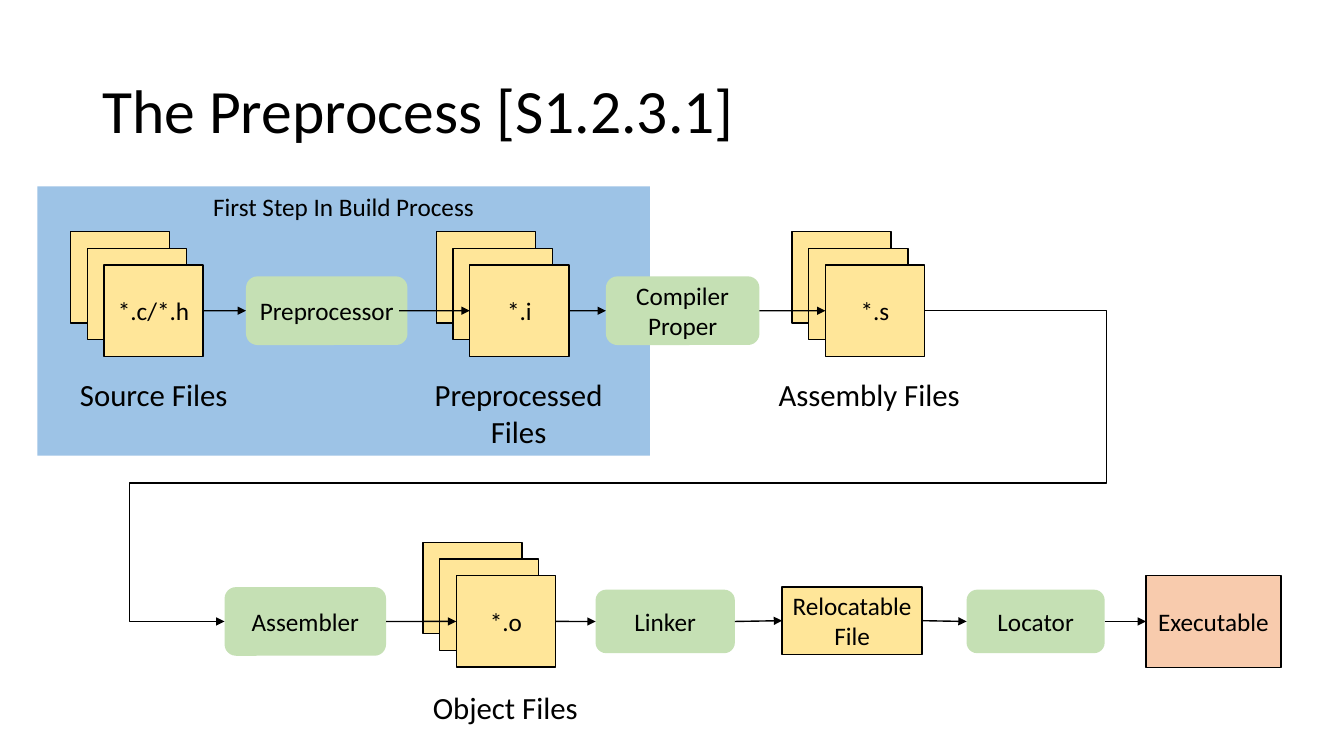
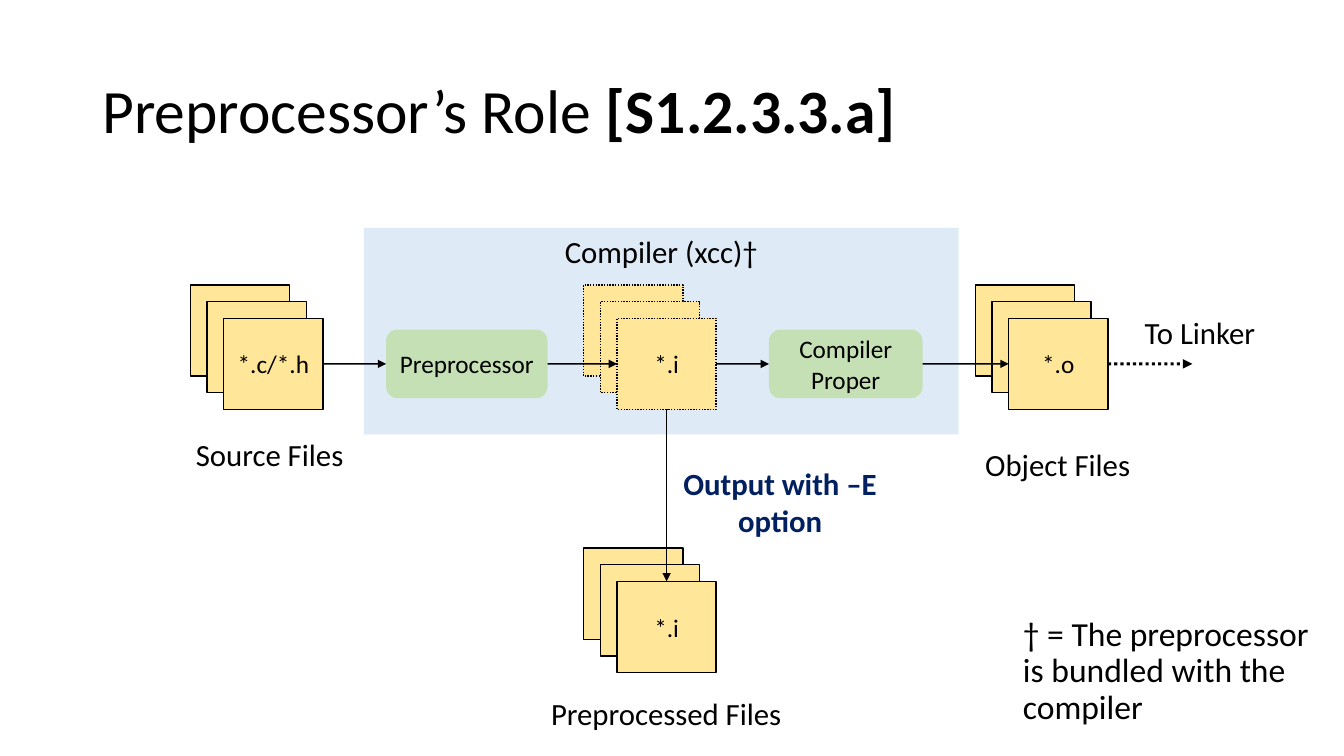
"""Build two slides on how source files are preprocessed and built."""
from dataclasses import dataclass

from lxml import etree
from pptx import Presentation
from pptx.dml.color import RGBColor
from pptx.enum.dml import MSO_LINE
from pptx.enum.shapes import MSO_CONNECTOR, MSO_SHAPE
from pptx.enum.text import MSO_ANCHOR, PP_ALIGN
from pptx.oxml.ns import qn
from pptx.util import Cm, Pt

RECT, ROUND = MSO_SHAPE.RECTANGLE, MSO_SHAPE.ROUNDED_RECTANGLE
LINE, ELBOW = MSO_CONNECTOR.STRAIGHT, MSO_CONNECTOR.ELBOW
TOP, MIDDLE = MSO_ANCHOR.TOP, MSO_ANCHOR.MIDDLE
LEFT, CENTER = PP_ALIGN.LEFT, PP_ALIGN.CENTER
DOT = MSO_LINE.ROUND_DOT
NORTH, WEST, SOUTH, EAST = range(4)


@dataclass(frozen=True)
class Theme:
    """Colours, type sizes and shared measures in centimetres."""
    font: str = "Calibri"
    ink: str = "000000"
    navy: str = "002060"
    file: str = "FFE699"
    step: str = "C5E0B4"
    final: str = "F8CBAD"
    blue: str = "9DC3E6"
    pale: str = "DEEBF7"
    title: int = 44
    note: int = 24
    label: int = 22
    node: int = 18
    wide: float = 2.5
    high: float = 2.3
    shift: float = 0.42
    pad: float = 0.1


LOOK = Theme()


def tint(color):
    """Turn a hex string into a colour."""
    return RGBColor.from_string(color)


def write(frame, lines, size, color=LOOK.ink, align=CENTER, anchor=TOP):
    """Fill a text frame with lines, each a list of (text, bold) runs."""
    frame.word_wrap = True
    frame.vertical_anchor = anchor
    for i, line in enumerate(lines):
        para = frame.paragraphs[0] if i == 0 else frame.add_paragraph()
        para.alignment = align
        for text, bold in line:
            run = para.add_run()
            run.text = text
            font = run.font
            font.name, font.size, font.bold = LOOK.font, Pt(size), bold
            font.color.rgb = tint(color)


def plain(*lines):
    """Give each line of text one regular run."""
    return [[(line, False)] for line in lines]


def area(page, box, lines, size, **style):
    """Add a text box and return its frame."""
    frame = page.shapes.add_textbox(*map(Cm, box)).text_frame
    write(frame, lines, size, **style)
    return frame


def title(page, *runs):
    """Add the slide title."""
    box = (2.33, 1.01, 29.21, 3.68)
    frame = area(page, box, [runs], LOOK.title, align=LEFT, anchor=MIDDLE)
    frame.paragraphs[0].line_spacing = 0.9


def label(page, x, y, *lines, w=5.87, **style):
    """Add a centred caption."""
    area(page, (x, y, w, 1.19 * len(lines)), plain(*lines), LOOK.label, **style)


def block(shapes, kind, box, fill, edge=False, dash=None):
    """Add a filled shape, outlined if asked."""
    shape = shapes.add_shape(kind, *map(Cm, box))
    shape.shadow.inherit = False
    shape.fill.solid()
    shape.fill.fore_color.rgb = tint(fill)
    if edge:
        shape.line.color.rgb = tint(LOOK.ink)
        shape.line.width = Pt(1)
        if dash:
            shape.line.dash_style = dash
    else:
        shape.line.fill.background()
    return shape


def node(shapes, kind, box, fill, *lines, **edge):
    """Add a block with a centred name."""
    shape = block(shapes, kind, box, fill, **edge)
    frame = shape.text_frame
    frame.margin_left = frame.margin_right = Cm(LOOK.pad)
    write(frame, plain(*lines), LOOK.node, anchor=MIDDLE)
    return shape


def step(page, x, mid, *lines, w=4.07, h=1.73):
    """Add a tool centred on the line mid."""
    return node(page.shapes, ROUND, (x, mid - h / 2, w, h), LOOK.step, *lines)


def stack(page, x, mid, text, dash=None):
    """Add three overlapping files and return the front one."""
    shapes = page.shapes.add_group_shape().shapes
    y = mid - LOOK.high / 2
    for back in (2, 1):
        gap = back * LOOK.shift
        box = (x - gap, y - gap, LOOK.wide, LOOK.high)
        block(shapes, RECT, box, LOOK.file, edge=True, dash=dash)
    box = (x, y, LOOK.wide, LOOK.high)
    return node(shapes, RECT, box, LOOK.file, text, edge=True, dash=dash)


def panel(page, box, fill, text, size):
    """Add a background area with a heading."""
    shape = block(page.shapes, RECT, box, fill)
    write(shape.text_frame, plain(text), size)


def link(page, start, end, sides=(EAST, WEST), kind=LINE, width=1, dash=None):
    """Draw an arrow between two shapes or (x, y) points."""
    ends = [tuple(map(Cm, e)) if isinstance(e, tuple) else (0, 0)
            for e in (start, end)]
    wire = page.shapes.add_connector(kind, *ends[0], *ends[1])
    if not isinstance(start, tuple):
        wire.begin_connect(start, sides[0])
    if not isinstance(end, tuple):
        wire.end_connect(end, sides[1])
    wire.line.color.rgb = tint(LOOK.ink)
    wire.line.width = Pt(width)
    if dash:
        wire.line.dash_style = dash
    props = wire._element.spPr
    etree.SubElement(props.find(qn("a:ln")), qn("a:tailEnd"), type="triangle")
    etree.SubElement(props, qn("a:effectLst"))
    return wire


def chain(page, *nodes):
    """Join neighbours from left to right."""
    for start, end in zip(nodes, nodes[1:]):
        link(page, start, end)


def wrap(page, start, end):
    """Lead an arrow from the end of one row to the start of the next."""
    wire = link(page, start, end, kind=ELBOW)
    geom = wire._element.spPr.find(qn("a:prstGeom"))
    geom.set("prst", "bentConnector5")
    for old in list(geom):
        geom.remove(old)
    guides = etree.SubElement(geom, qn("a:avLst"))
    for i, value in enumerate((-26000, 55400, 113600), 1):
        etree.SubElement(guides, qn("a:gd"), name=f"adj{i}", fmla=f"val {value}")


def compile_row(page, box):
    """Draw the path from source to assembly and return its last file."""
    x, y = box[:2]
    mid, low = y + 3.13, y + 4.65
    panel(page, box, LOOK.blue, "First Step In Build Process", LOOK.node)
    label(page, x, low, "Source Files")
    label(page, x + 8.41, low, "Preprocessed", "Files", w=7.44)
    label(page, x + 18.03, low, "Assembly Files")
    source = stack(page, x + 1.68, mid, "*.c/*.h")
    pre = step(page, x + 5.26, mid, "Preprocessor")
    middle = stack(page, x + 10.9, mid, "*.i")
    proper = step(page, x + 14.33, mid, "Compiler", "Proper", w=3.87)
    last = stack(page, x + 19.86, mid, "*.s")
    chain(page, source, pre)
    link(page, (x + 9.12, mid), middle)
    chain(page, middle, proper, last)
    return last


def link_row(page, x, mid):
    """Draw the path from assembler to executable and return its first step."""
    first = step(page, x, mid, "Assembler")
    files = stack(page, x + 5.84, mid, "*.o")
    linker = step(page, x + 9.35, mid, "Linker", w=3.51, h=1.6)
    moved = node(page.shapes, RECT, (x + 14.05, mid - 0.87, 3.53, 1.7),
                 LOOK.file, "Relocatable File", edge=True)
    locator = step(page, x + 18.7, mid, "Locator", w=3.48, h=1.6)
    final = node(page.shapes, RECT, (x + 23.22, mid - 1.16, 3.4, 2.32),
                 LOOK.final, "Executable", edge=True)
    label(page, x + 4.14, mid + 1.56, "Object Files")
    chain(page, first, files, linker, moved, locator, final)
    return first


def process(page):
    """Build the slide of the whole build process."""
    title(page, ("The Preprocess [S1.2.3.1]", False))
    last = compile_row(page, (0.94, 4.7, 15.44, 6.78))
    first = link_row(page, 5.66, 15.66)
    wrap(page, last, first)


def compiler(page, box):
    """Draw the compiler with its inputs and outputs."""
    x, y = box[:2]
    mid = y + 3.43
    panel(page, box, LOOK.pale, "Compiler (xcc)†", LOOK.label)
    source = stack(page, x - 3.53, mid, "*.c/*.h")
    pre = step(page, x + 0.56, mid, "Preprocessor")
    middle = stack(page, x + 6.38, mid, "*.i", dash=DOT)
    proper = step(page, x + 10.21, mid, "Compiler", "Proper", w=3.87)
    last = stack(page, x + 16.25, mid, "*.o")
    extra = stack(page, x + 6.38, mid + 6.63, "*.i")
    chain(page, source, pre, middle, proper, last)
    link(page, last, (x + 20.88, mid), width=2.25, dash=DOT)
    link(page, middle, extra, (SOUTH, NORTH))
    label(page, x - 5.31, y + 5.11, "Source Files")
    label(page, x + 14.55, y + 5.36, "Object Files")
    label(page, x + 2.82, y + 11.63, "Preprocessed Files", w=9.6)
    label(page, x + 19.15, y + 2.03, "To Linker", w=3.84)
    area(page, (x + 7.14, y + 5.84, 6.7, 2.13),
         [[("Output with –E option", True)]], LOOK.label, color=LOOK.navy)


def role(page):
    """Build the slide on the role of the preprocessor."""
    title(page, ("Preprocessor’s Role ", False), ("[S1.2.3.3.a]", True))
    compiler(page, (9.17, 5.74, 14.99, 5.21))
    frame = area(page, (25.53, 15.44, 8.3, 3.6),
                 plain("† = The preprocessor is bundled with the compiler"),
                 LOOK.note, align=LEFT)
    frame.paragraphs[0].line_spacing = 0.9
    frame.paragraphs[0].space_before = Pt(10)


def main():
    """Build and save the deck."""
    deck = Presentation()
    deck.slide_width, deck.slide_height = Cm(33.87), Cm(19.05)
    for build in (process, role):
        build(deck.slides.add_slide(deck.slide_layouts[6]))
    deck.save("out.pptx")


if __name__ == "__main__":
    main()
